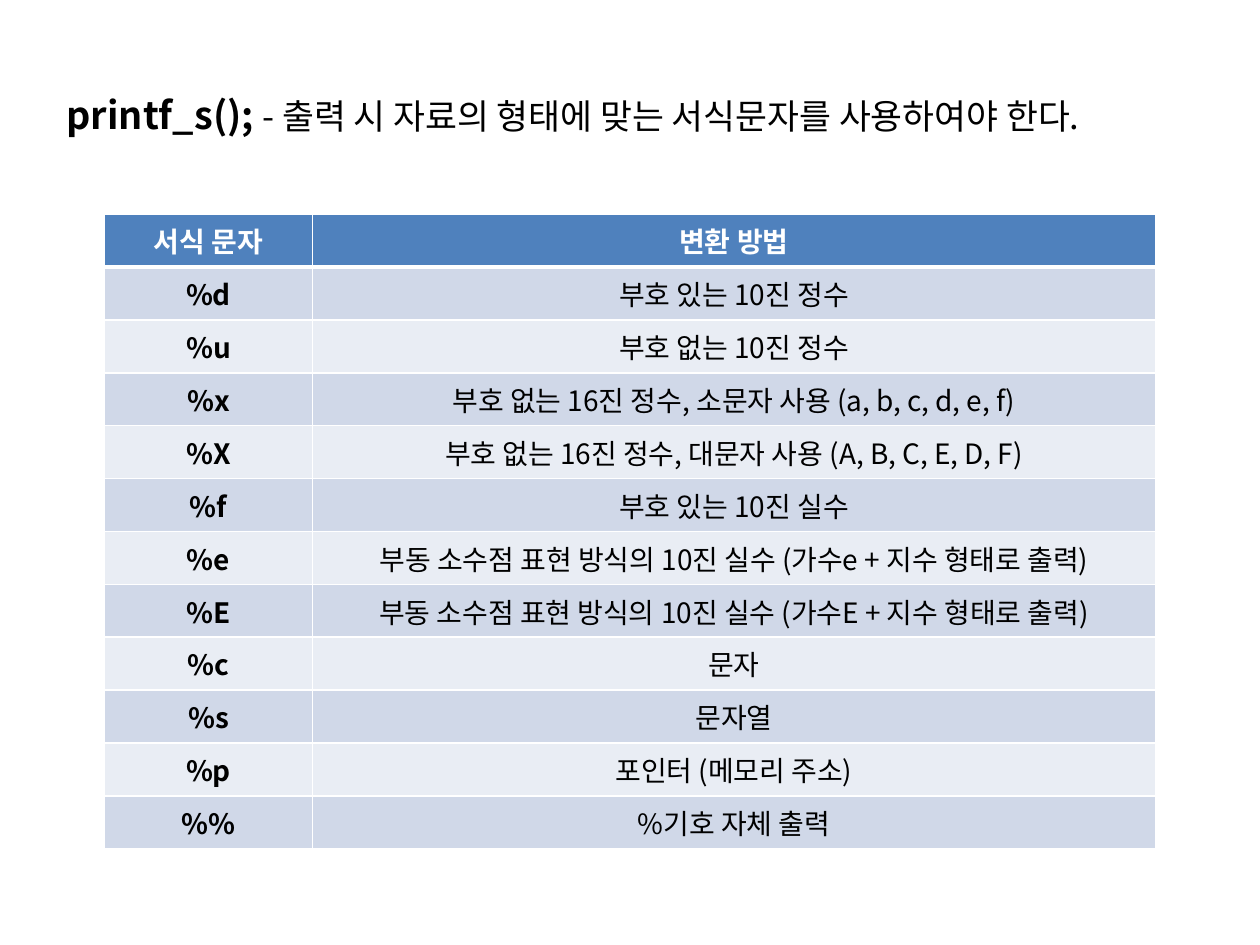
from dataclasses import dataclass

from lxml.etree import SubElement
from pptx import Presentation
from pptx.dml.color import RGBColor
from pptx.enum.text import MSO_ANCHOR, PP_ALIGN
from pptx.oxml.ns import qn
from pptx.util import Inches, Pt


@dataclass(frozen=True)
class Theme:
    font: str = "Noto Sans CJK KR"
    text: str = "000000"
    white: str = "FFFFFF"
    header: str = "4F81BD"
    bands: tuple = ("D0D8E8", "E9EDF4")
    function_size: float = 21.6
    heading_size: float = 19.8
    table_size: float = 16
    thin_line: float = 1
    thick_line: float = 3


HEADING = ("printf_s(); ", "- 출력 시 자료의 형태에 맞는 서식문자를 사용하여야 한다.")
FORMATS = [
    ("서식 문자", "변환 방법"),
    ("%d", "부호 있는 10진 정수"),
    ("%u", "부호 없는 10진 정수"),
    ("%x", "부호 없는 16진 정수, 소문자 사용 (a, b, c, d, e, f)"),
    ("%X", "부호 없는 16진 정수, 대문자 사용 (A, B, C, E, D, F)"),
    ("%f", "부호 있는 10진 실수"),
    ("%e", "부동 소수점 표현 방식의 10진 실수 (가수e + 지수 형태로 출력)"),
    ("%E", "부동 소수점 표현 방식의 10진 실수 (가수E + 지수 형태로 출력)"),
    ("%c", "문자"),
    ("%s", "문자열"),
    ("%p", "포인터 (메모리 주소)"),
    ("%%", "%기호 자체 출력"),
]


class PageBuilder:
    def __init__(self, page, theme):
        self.page = page
        self.theme = theme

    def style(self, span, size, color, bold):
        span.font.name = self.theme.font
        span.font.size = Pt(size)
        span.font.bold = bold
        span.font.color.rgb = RGBColor.from_string(color)
        east_asian = SubElement(span.font._element, qn("a:ea"))
        east_asian.set("typeface", self.theme.font)

    def heading(self, left, top, width, height, function, description):
        box = self.page.shapes.add_textbox(
            Inches(left), Inches(top), Inches(width), Inches(height)
        )
        box.text_frame.word_wrap = True
        box.text_frame.vertical_anchor = MSO_ANCHOR.TOP
        para = box.text_frame.paragraphs[0]
        for text, size, bold in (
            (function, self.theme.function_size, True),
            (description, self.theme.heading_size, False),
        ):
            span = para.add_run()
            span.text = text
            self.style(span, size, self.theme.text, bold)

    def borders(self, cell, top, bottom):
        properties = cell._tc.get_or_add_tcPr()
        thin = self.theme.thin_line
        for side, width in (("L", thin), ("R", thin), ("T", top), ("B", bottom)):
            line = SubElement(properties, qn(f"a:ln{side}"), w=str(Pt(width)))
            fill = SubElement(line, qn("a:solidFill"))
            SubElement(fill, qn("a:srgbClr"), val=self.theme.white)

    def cell(self, cell, text, row, column):
        theme = self.theme
        is_header = row == 0
        self.borders(
            cell,
            theme.thick_line if row == 1 else theme.thin_line,
            theme.thick_line if is_header else theme.thin_line,
        )
        cell.fill.solid()
        color = theme.header if is_header else theme.bands[(row - 1) % 2]
        cell.fill.fore_color.rgb = RGBColor.from_string(color)
        para = cell.text_frame.paragraphs[0]
        para.text = text
        para.alignment = PP_ALIGN.CENTER
        self.style(
            para.runs[0],
            theme.table_size,
            theme.white if is_header else theme.text,
            is_header or column == 0,
        )

    def table(self, left, top, column_widths, row_height, rows):
        table = self.page.shapes.add_table(
            len(rows),
            len(column_widths),
            Inches(left),
            Inches(top),
            Inches(sum(column_widths)),
            Inches(row_height * len(rows)),
        ).table
        for column, width in zip(table.columns, column_widths):
            column.width = Inches(width)
        for row, texts in enumerate(rows):
            table.rows[row].height = Inches(row_height)
            for column, text in enumerate(texts):
                self.cell(table.cell(row, column), text, row, column)


def main():
    deck = Presentation()
    deck.slide_width = Inches(10)
    deck.slide_height = Inches(7.5)
    page = deck.slides.add_slide(deck.slide_layouts[6])
    builder = PageBuilder(page, Theme())
    builder.heading(0.43, 0.68, 9, 0.94, *HEADING)
    builder.table(0.83, 1.7, (1.65, 6.69), 0.42, FORMATS)
    deck.save("out.pptx")


if __name__ == "__main__":
    main()
